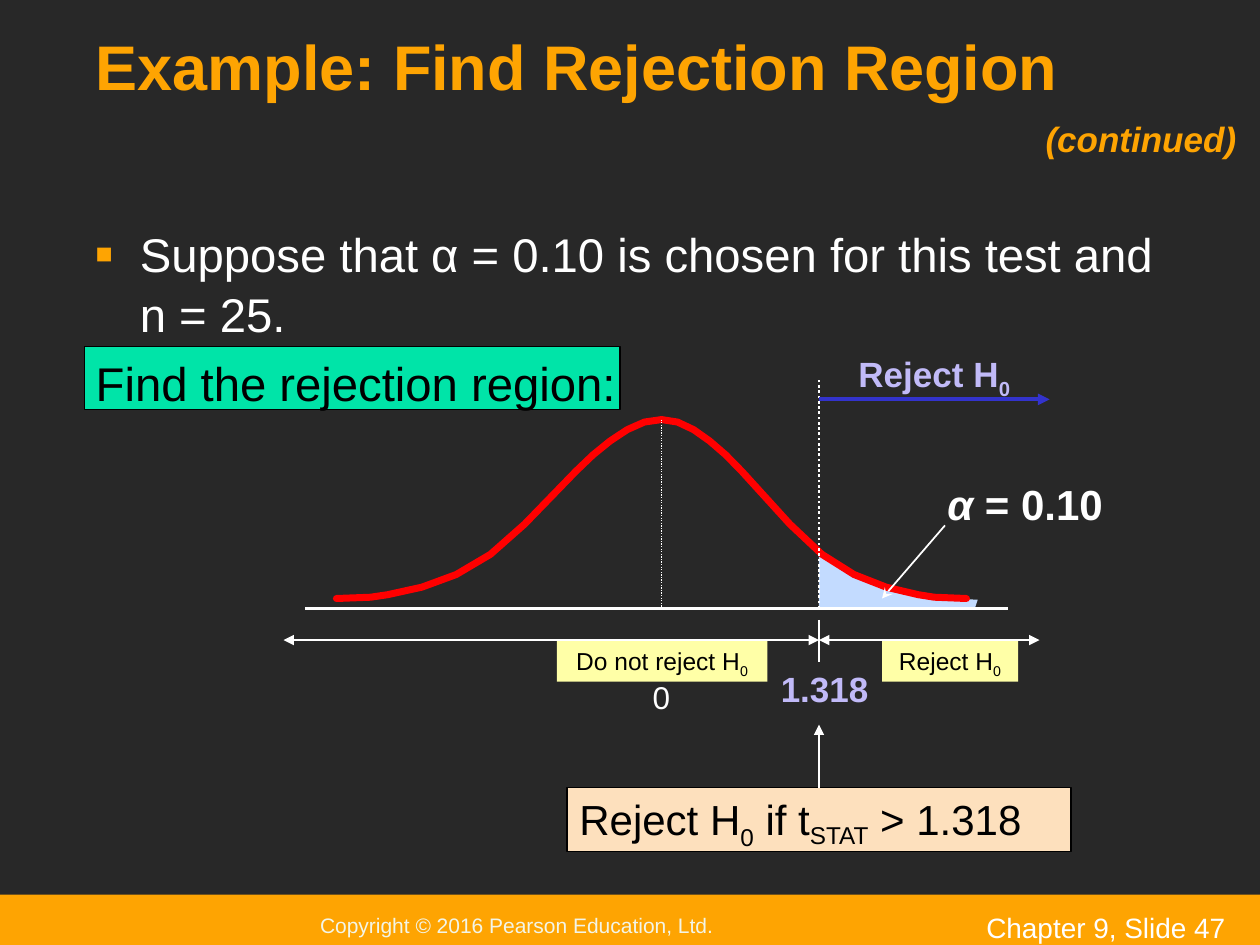
from pptx import Presentation
from pptx.dml.color import RGBColor
from pptx.enum.dml import MSO_LINE
from pptx.enum.shapes import MSO_CONNECTOR, MSO_SHAPE
from pptx.enum.text import MSO_ANCHOR, PP_ALIGN
from pptx.oxml.ns import qn
from pptx.util import Inches, Pt
from lxml.etree import SubElement

COLORS = {
    "background": "282828", "orange": "FEA402", "cream": "F3F5E7",
    "white": "FFFFFF", "black": "000000", "green": "00E4A8",
    "yellow": "FFFFA7", "peach": "FDE0BD", "tail": "C3DBFF",
    "curve": "FF0000", "lilac": "C1BAF8", "blue": "3333CC",
}
CENTER, CRITICAL, AXIS, PEAK = 5.25, 6.5, 4.83, 3.33
DECISION = 5.08
HALF_CURVE = [
    (0, 3.33), (1, 3.35), (2, 3.41), (3, 3.5), (4, 3.61), (5, 3.74),
    (6, 3.88), (8, 4.16), (10, 4.4), (12, 4.56), (13, 4.61), (14, 4.66),
    (15, 4.69), (16, 4.72), (17, 4.74), (19, 4.75),
]
TAIL_AREA = [
    (7.74, 4.82), (7.76, 4.76), (7.35, 4.74), (7.09, 4.67), (6.83, 4.59),
    (CRITICAL, 4.38), (CRITICAL, AXIS), (7.74, AXIS),
]


def rgb(name):
    return RGBColor.from_string(COLORS[name])


def style_font(font, size, color, bold=False, italic=False):
    font.name = "Arial"
    font.size = Pt(size)
    font.bold = bold
    font.italic = italic
    font.color.rgb = rgb(color)


def write(frame, parts, size, color, align=PP_ALIGN.LEFT, bold=False, italic=False):
    frame.word_wrap = True
    paragraph = frame.paragraphs[0]
    paragraph.alignment = align
    for text, baseline in parts:
        run = paragraph.add_run()
        run.text = text
        style_font(run.font, size, color, bold, italic)
        if baseline:
            run._r.get_or_add_rPr().set("baseline", str(baseline * 1000))
    return paragraph


def add_label(slide, box, parts, size, color, **style):
    label = slide.shapes.add_textbox(*map(Inches, box))
    write(label.text_frame, parts, size, color, **style)
    return label


def add_panel(slide, box, fill, outlined=False):
    panel = slide.shapes.add_shape(MSO_SHAPE.RECTANGLE, *map(Inches, box))
    panel.shadow.inherit = False
    panel.fill.solid()
    panel.fill.fore_color.rgb = rgb(fill)
    if outlined:
        panel.line.color.rgb = rgb("black")
        panel.line.width = Pt(0.75)
    else:
        panel.line.fill.background()
    panel.text_frame.vertical_anchor = MSO_ANCHOR.TOP
    return panel


def add_line(slide, start, end, width, color="white", head=None, tail=None, dotted=False):
    line = slide.shapes.add_connector(
        MSO_CONNECTOR.STRAIGHT, *map(Inches, (*start, *end)))
    line.line.color.rgb = rgb(color)
    line.line.width = Pt(width)
    if dotted:
        line.line.dash_style = MSO_LINE.ROUND_DOT
    outline = line.line._get_or_add_ln()
    for tag, arrow in (("a:headEnd", head), ("a:tailEnd", tail)):
        if arrow:
            SubElement(outline, qn(tag), type=arrow)
    SubElement(line._element.spPr, qn("a:effectLst"))
    return line


def add_outline(slide, points, closed):
    points = [(Inches(x), Inches(y)) for x, y in points]
    builder = slide.shapes.build_freeform(*points[0])
    builder.add_line_segments(points[1:], close=closed)
    outline = builder.convert_to_shape()
    outline.shadow.inherit = False
    return outline


def add_tail_area(slide):
    area = add_outline(slide, TAIL_AREA, True)
    area.fill.solid()
    area.fill.fore_color.rgb = rgb("tail")
    area.line.fill.background()


def add_half_curve(slide, reach):
    points = [(CENTER + reach * step / 19, y) for step, y in HALF_CURVE]
    curve = add_outline(slide, points, False)
    curve.fill.background()
    curve.line.color.rgb = rgb("curve")
    curve.line.width = Pt(4)
    curve.line._get_or_add_ln().set("cap", "rnd")


def add_footer(slide):
    band = add_panel(slide, (0, 7.1, 10, 0.49), "orange")
    frame = band.text_frame
    frame.vertical_anchor = MSO_ANCHOR.MIDDLE
    frame.margin_left = Inches(2.54)
    frame.margin_top = frame.margin_bottom = 0
    write(frame, [("Copyright © 2016 Pearson Education, Ltd.", 0)], 12, "cream")
    add_label(slide, (7.73, 7.18, 2.27, 0.26), [("Chapter 9, Slide 47", 0)], 16, "white")


def add_question(slide):
    add_panel(slide, (0.67, 2.75, 4.25, 0.5), "green", outlined=True)
    question = slide.shapes.add_textbox(*map(Inches, (0.67, 1.72, 8.83, 1.6)))
    frame = question.text_frame
    frame.word_wrap = True
    frame.margin_left = frame.margin_right = Inches(0.09)
    frame.text = ("Suppose that α = 0.10 is chosen for this test and n = 25.\n"
                  "Find the rejection region:")
    given, task = frame.paragraphs
    for paragraph, color in ((given, "white"), (task, "black")):
        paragraph.line_spacing = 1.05
        properties = paragraph._p.get_or_add_pPr()
        properties.set("marL", str(Inches(0.35)))
        properties.set("indent", str(Inches(-0.35)))
        style_font(paragraph.runs[0].font, 27, color)
    task.space_before = Pt(5.4)
    bullet = given._p.get_or_add_pPr()
    SubElement(SubElement(bullet, qn("a:buClr")), qn("a:srgbClr"), val=COLORS["orange"])
    SubElement(bullet, qn("a:buSzPct"), val="60000")
    SubElement(bullet, qn("a:buFont"), typeface="Arial")
    SubElement(bullet, qn("a:buChar"), char="■")
    SubElement(task._p.get_or_add_pPr(), qn("a:buNone"))


def add_distribution(slide):
    reject = [("Reject H", 0), ("0", -25)]
    do_not_reject = [("Do not reject H", 0), ("0", -25)]
    for left, width, parts in ((7, 1.08, reject), (4.42, 1.67, do_not_reject)):
        region = add_panel(slide, (left, DECISION, width, 0.33), "yellow")
        write(region.text_frame, parts, 14, "black", align=PP_ALIGN.CENTER)
    add_tail_area(slide)
    for reach in (-2.58, 2.42):
        add_half_curve(slide, reach)
    add_line(slide, (2.42, AXIS), (8, AXIS), 2)
    add_line(slide, (7.5, 4.17), (7, 4.75), 1, tail="stealth")
    alpha = add_label(slide, (7.42, 3.75, 1.5, 0.5),
                      [("α ", 0), ("= 0.10", 0)], 24, "white", bold=True)
    alpha.text_frame.paragraphs[0].runs[0].font.italic = True
    add_line(slide, (CENTER, PEAK), (CENTER, AXIS), 0.75, dotted=True)
    add_line(slide, (CRITICAL, 4.92), (CRITICAL, 5.25), 1.5)
    for start, end in ((CRITICAL, 8.25), (2.25, CRITICAL)):
        add_line(slide, (start, DECISION), (end, DECISION), 1.5,
                 head="triangle", tail="triangle")
    add_label(slide, (5.88, 5.25, 1.33, 0.43), [("1.318", 0)], 20, "lilac",
              align=PP_ALIGN.CENTER, bold=True)
    add_label(slide, (5, 5.33, 0.5, 0.4), [("0", 0)], 18, "white", align=PP_ALIGN.CENTER)
    add_line(slide, (CRITICAL, AXIS), (CRITICAL, 3), 1.5, dotted=True)
    add_line(slide, (CRITICAL, 3.17), (8.33, 3.17), 2.25, "blue", tail="triangle")
    add_label(slide, (6.58, 2.75, 1.67, 0.43), reject, 20, "lilac",
              align=PP_ALIGN.CENTER, bold=True)


def add_decision_rule(slide):
    rule = add_panel(slide, (4.5, 6.25, 4, 0.51), "peach", outlined=True)
    write(rule.text_frame, [("Reject H", 0), ("0", -25), (" if t", 0),
                            ("STAT", -20), (" > 1.318", 0)], 24, "black")
    pointer = add_line(slide, (CRITICAL, 6.25), (CRITICAL, 5.75), 1.5, tail="triangle")
    pointer.begin_connect(rule, 0)


def main():
    deck = Presentation()
    deck.slide_width, deck.slide_height = Inches(10), Inches(7.5)
    slide = deck.slides.add_slide(deck.slide_layouts[6])
    slide.background.fill.solid()
    slide.background.fill.fore_color.rgb = rgb("background")
    add_footer(slide)
    title = add_label(slide, (0.67, 0.25, 8.67, 0.62),
                      [("Example: Find Rejection Region", 0)], 36, "orange", bold=True)
    title.text_frame.vertical_anchor = MSO_ANCHOR.BOTTOM
    title.text_frame.margin_left = Inches(0.09)
    add_question(slide)
    add_distribution(slide)
    add_decision_rule(slide)
    add_label(slide, (8.2, 0.88, 1.73, 0.44), [("(continued)", 0)], 20, "orange",
              bold=True, italic=True)
    deck.save("out.pptx")


if __name__ == "__main__":
    main()
